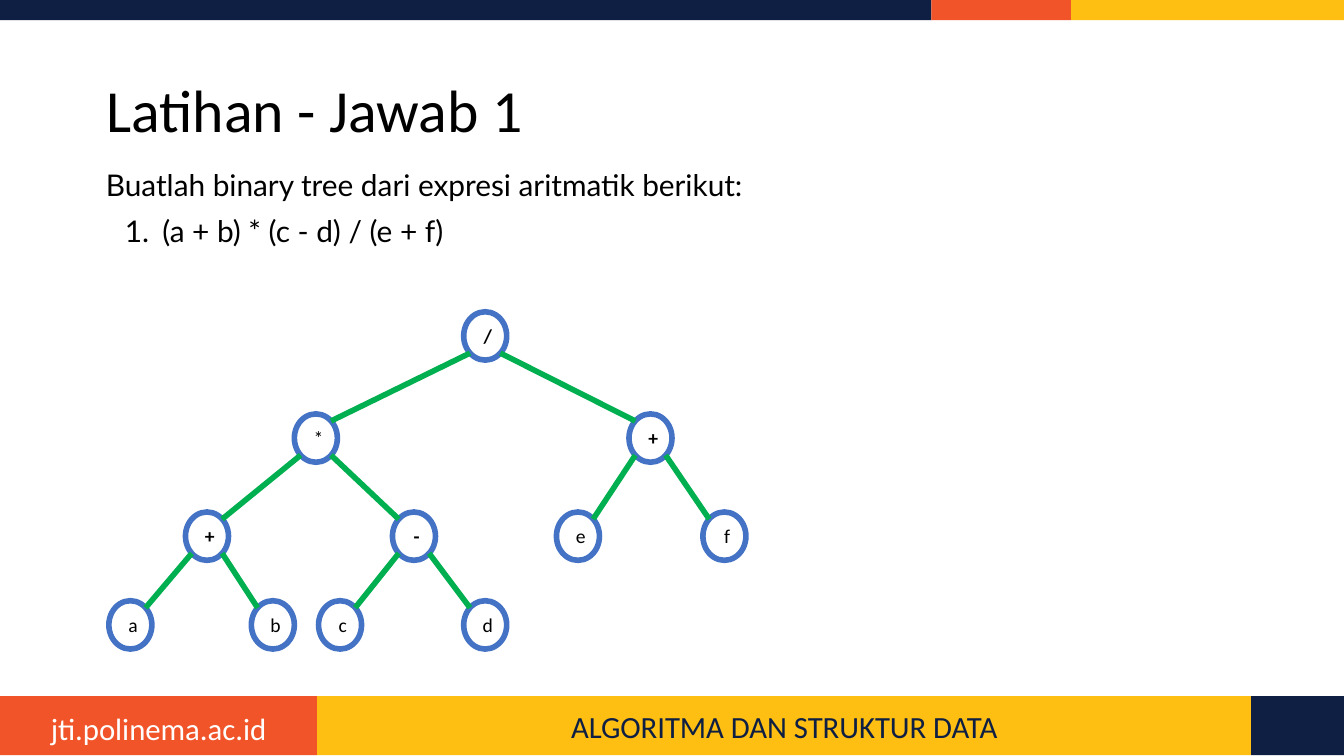
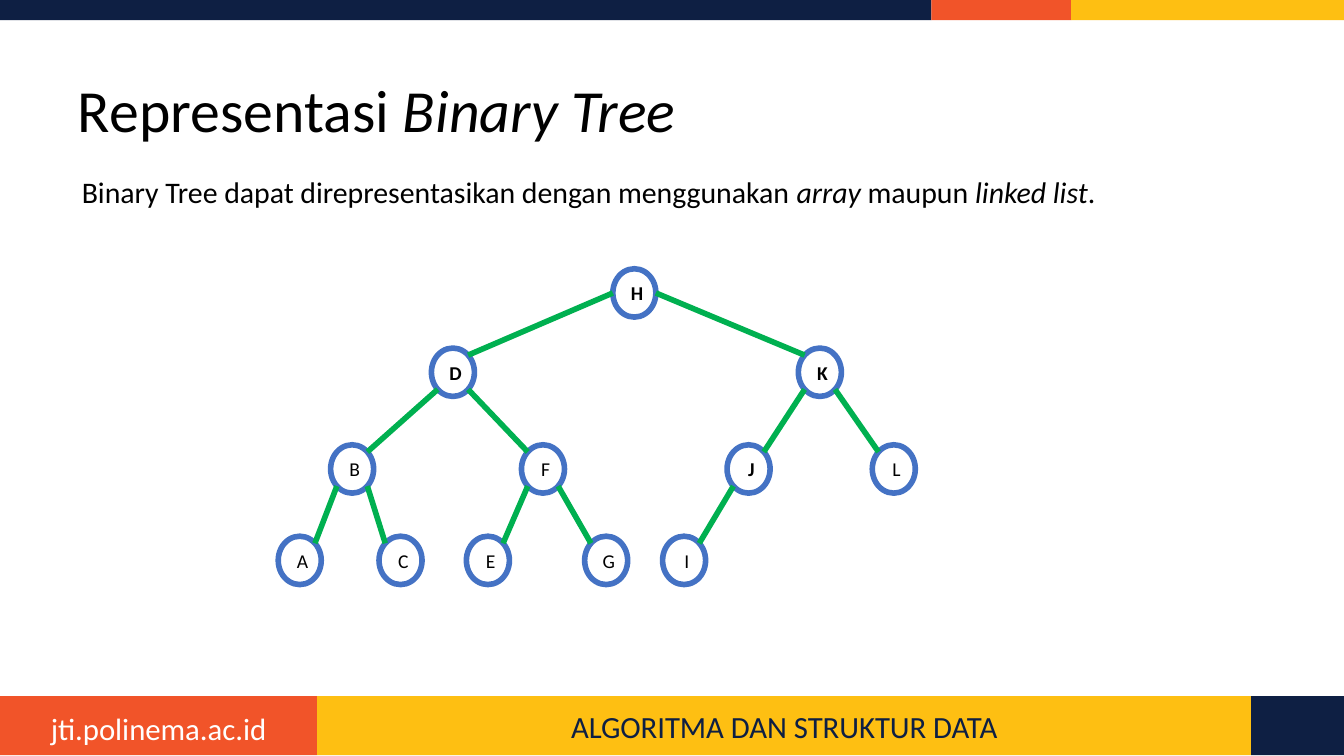
from math import sqrt

from lxml.etree import SubElement
from pptx import Presentation
from pptx.dml.color import RGBColor
from pptx.enum.shapes import MSO_CONNECTOR, MSO_SHAPE
from pptx.enum.text import MSO_ANCHOR, MSO_AUTO_SIZE, PP_ALIGN
from pptx.oxml.ns import qn
from pptx.util import Inches, Pt

NAVY = RGBColor(0x0E, 0x1F, 0x43)
ORANGE = RGBColor(0xF1, 0x54, 0x29)
GOLD = RGBColor(0xFE, 0xBF, 0x12)
WHITE = RGBColor(0xFF, 0xFF, 0xFF)
BLACK = RGBColor(0, 0, 0)
BLUE = RGBColor(0x44, 0x72, 0xC4)
GREEN = RGBColor(0, 0xB0, 0x50)

WIDE, HIGH = 0.32, 0.36
SIDE = (WIDE / 2, 0)
SLANT = (WIDE / 2 / sqrt(2), HIGH / 2 / sqrt(2))

TITLE = {"size": Pt(32), "name": "Calibri"}
FOOT = {"size": Pt(16.5), "name": "Calibri"}
LABEL = {"size": Pt(10.5), "name": "Calibri"}

TOP = [(0, 6.93, NAVY), (6.93, 1.04, ORANGE), (7.97, 2.03, GOLD)]
BASE = [(0, 2.36, ORANGE), (2.36, 6.95, GOLD), (9.31, 0.69, NAVY)]

# Tree keys follow heap order: node n hangs from node n // 2.
MATH = {
    1: ("/", 3.45, True), 2: ("*", 2.19, False), 3: ("+", 4.68, True),
    4: ("+", 1.38, True), 5: ("-", 2.92, True),
    6: ("e", 4.14, False), 7: ("f", 5.23, False),
    8: ("a", 0.81, False), 9: ("b", 1.87, False),
    10: ("c", 2.37, False), 11: ("d", 3.45, False),
}
ABC = {
    1: ("H", 4.56, True), 2: ("D", 3.21, True), 3: ("K", 5.94, True),
    4: ("B", 2.46, False), 5: ("F", 3.88, False),
    6: ("J", 5.41, True), 7: ("L", 6.49, False),
    8: ("A", 2.07, False), 9: ("C", 2.82, False),
    10: ("E", 3.47, False), 11: ("G", 4.35, False), 12: ("I", 4.93, False),
}


def style(item, form):
    for key, value in form.items():
        setattr(item, key, value)


def write(para, parts, form, color=BLACK):
    for text, slant in parts:
        run = para.add_run()
        run.text = text
        style(run.font, form)
        if slant:
            run.font.italic = True
        run.font.color.rgb = color


def place(shape, left, top, width, height):
    style(shape, {"left": Inches(left), "top": Inches(top),
                  "width": Inches(width), "height": Inches(height)})


def draw(slide, kind, box, fill):
    shape = slide.shapes.add_shape(kind, *map(Inches, box))
    shape.shadow.inherit = False
    shape.fill.solid()
    shape.fill.fore_color.rgb = fill
    shape.line.fill.background()
    return shape


def text_box(slide, box):
    frame = slide.shapes.add_textbox(*map(Inches, box)).text_frame
    frame.word_wrap = True
    return frame


def frame_page(slide):
    for left, width, fill in TOP:
        draw(slide, MSO_SHAPE.RECTANGLE, (left, 0, width, 0.15), fill)
    bands = [draw(slide, MSO_SHAPE.RECTANGLE, (left, 5.18, width, 0.44), fill)
             for left, width, fill in BASE]
    course = bands[1].text_frame
    course.vertical_anchor = MSO_ANCHOR.MIDDLE
    site = text_box(slide, (0, 5.23, 2.36, 0.38))
    for frame, text, color in [(course, "ALGORITMA DAN STRUKTUR DATA", NAVY),
                               (site, "jti.polinema.ac.id", WHITE)]:
        para = frame.paragraphs[0]
        para.alignment = PP_ALIGN.CENTER
        write(para, [(text, False)], FOOT, color)


def add_page(deck, left, parts):
    slide = deck.slides.add_slide(deck.slide_layouts[5])
    frame_page(slide)
    title = slide.shapes.title
    place(title, left, 0.3, 8.62, 1.09)
    style(title.text_frame, {"word_wrap": True, "auto_size": MSO_AUTO_SIZE.NONE,
                             "vertical_anchor": MSO_ANCHOR.MIDDLE})
    para = title.text_frame.paragraphs[0]
    style(para, {"alignment": PP_ALIGN.LEFT, "line_spacing": 0.9})
    write(para, parts, TITLE)
    return slide


def number(para):
    props = para._p.get_or_add_pPr()
    props.set("marL", str(Inches(0.42)))
    props.set("indent", str(Inches(-0.28)))
    SubElement(props, qn("a:buFont")).set("typeface", "+mj-lt")
    SubElement(props, qn("a:buAutoNum")).set("type", "arabicPeriod")


def add_body(slide, left, top, font, lines):
    frame = text_box(slide, (left, top, 8.62, 3.57))
    for row, (parts, listed) in enumerate(lines):
        para = frame.add_paragraph() if row else frame.paragraphs[0]
        if listed:
            number(para)
        style(para, {"alignment": PP_ALIGN.JUSTIFY, "line_spacing": 0.9,
                     "space_before": Pt(7.5 if row else 0)})
        write(para, parts, {"size": Pt(16), "name": font})


def add_node(slide, text, left, top, bold):
    node = draw(slide, MSO_SHAPE.OVAL, (left, top, WIDE, HIGH), WHITE)
    node.line.color.rgb = BLUE
    node.line.width = Pt(3)
    frame = node.text_frame
    style(frame, {"margin_left": Inches(0.04), "margin_right": 0,
                  "margin_top": 0, "margin_bottom": 0, "word_wrap": False,
                  "vertical_anchor": MSO_ANCHOR.MIDDLE})
    para = frame.paragraphs[0]
    para.alignment = PP_ALIGN.CENTER
    write(para, [(text, False)], {**LABEL, "bold": bold})


def add_edge(slide, start, end):
    edge = slide.shapes.add_connector(
        MSO_CONNECTOR.STRAIGHT, *map(Inches, start + end))
    edge.line.color.rgb = GREEN
    edge.line.width = Pt(3)
    SubElement(edge._element.spPr, qn("a:effectLst"))


def add_tree(slide, nodes, tops, root):
    spots = {}
    for key, (text, left, bold) in nodes.items():
        top = tops[key.bit_length() - 1]
        spots[key] = (left + WIDE / 2, top + HIGH / 2)
        add_node(slide, text, left, top, bold)
    for key, (x, y) in spots.items():
        if key == 1:
            continue
        up = key // 2
        way = 1 if key % 2 else -1
        out = root if up == 1 else SLANT
        start = (spots[up][0] + way * out[0], spots[up][1] + out[1])
        add_edge(slide, start, (x - way * SLANT[0], y - SLANT[1]))


def main():
    deck = Presentation()
    deck.slide_width = Inches(10)
    deck.slide_height = Inches(5.625)

    slide = add_page(deck, 0.69, [("Latihan - Jawab 1", False)])
    add_body(slide, 0.69, 1.22, "Lato", [
        ([("Buatlah binary tree dari expresi aritmatik berikut:", False)], False),
        ([("(a + b) * (c - d) / (e + f)", False)], True),
    ])
    add_tree(slide, MATH, (2.32, 3.08, 3.81, 4.47), SLANT)

    slide = add_page(deck, 0.48, [("Representasi ", False), ("Binary Tree", True)])
    add_body(slide, 0.51, 1.27, "Calibri", [
        ([("Binary Tree dapat direpresentasikan dengan menggunakan ", False),
          ("array ", True), ("maupun ", False), ("linked list", True),
          (".", False)], False),
    ])
    add_tree(slide, ABC, (2, 2.59, 3.31, 3.99), SIDE)

    deck.save("out.pptx")


if __name__ == "__main__":
    main()
